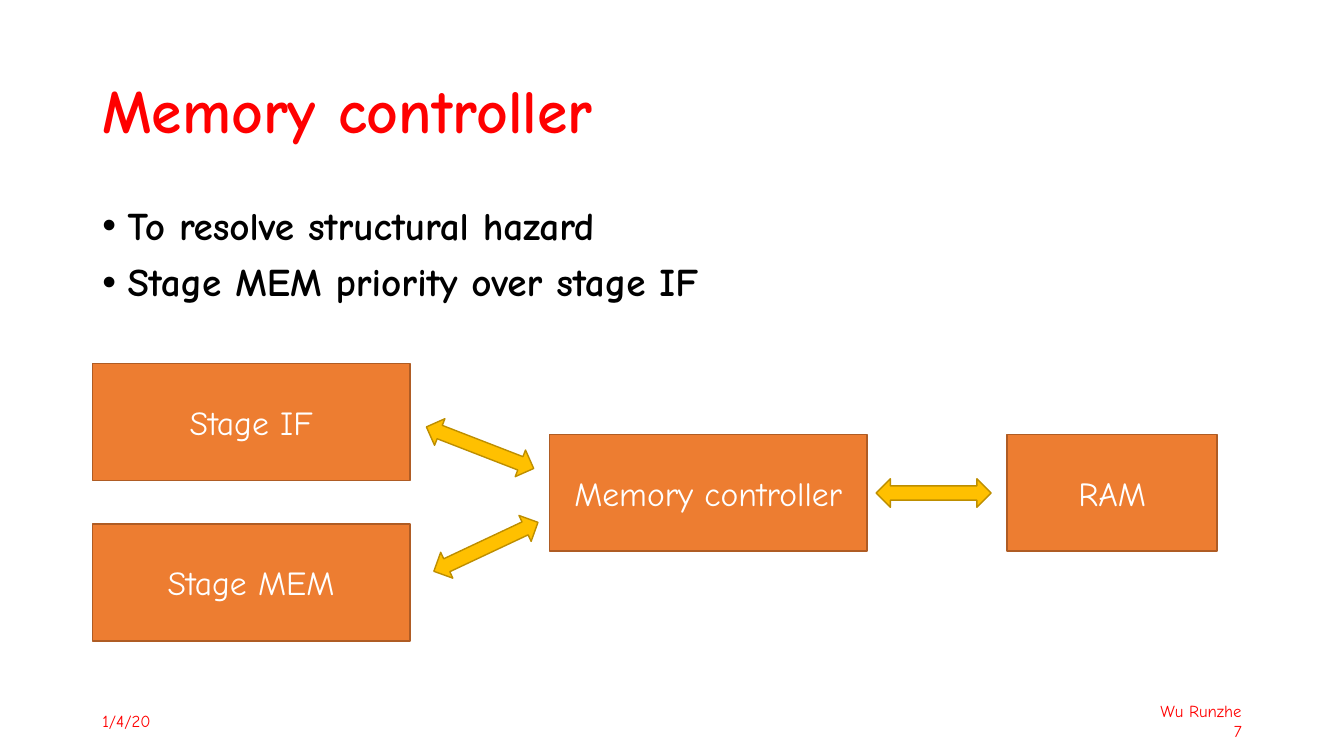
from lxml import etree
from pptx import Presentation, util as u
from pptx.dml.color import RGBColor
from pptx.enum import shapes, text
from pptx.oxml.ns import qn

COLORS = {"red": "FF0000", "black": "000000", "white": "FFFFFF",
          "box": "ED7D31", "box_line": "AF5C24",
          "arrow": "FFC000", "arrow_line": "BD8E00"}
COLS, ROWS = 160, 90


class Deck:
    font = "Comic Neue"

    def __init__(self):
        self.prs = Presentation()
        self.prs.slide_width, self.prs.slide_height = u.Inches(13.333), u.Inches(7.5)
        self.s = self.prs.slides.add_slide(self.prs.slide_layouts[6])

    def place(self, x, y, w, h):
        cw, rh = self.prs.slide_width / COLS, self.prs.slide_height / ROWS
        return [round(v) for v in (x * cw, y * rh, w * cw, h * rh)]

    def color(self, name):
        return RGBColor.from_string(COLORS[name])

    def set_text(self, sp, lines, size, color, align, anchor, bold=False):
        tf = sp.text_frame
        tf.word_wrap = True
        tf.vertical_anchor = anchor
        tf.text = "\n".join(lines)
        for p in tf.paragraphs:
            p.alignment = align
            p.font.name, p.font.size, p.font.bold = self.font, u.Pt(size), bold
            p.font.color.rgb = self.color(color)
        return tf.paragraphs

    def label(self, at, lines, size, color="red", align=text.PP_ALIGN.LEFT,
              anchor=text.MSO_ANCHOR.MIDDLE, bold=False):
        sp = self.s.shapes.add_textbox(*self.place(*at))
        return self.set_text(sp, lines, size, color, align, anchor, bold)

    def title(self, at, line):
        self.label(at, [line], 44, bold=True)[0].line_spacing = 0.9

    def bullets(self, at, lines):
        for p in self.label(at, lines, 28, "black", anchor=text.MSO_ANCHOR.TOP, bold=True):
            p.line_spacing, p.space_before = 0.9, u.Pt(10)
            pPr = p._p.get_or_add_pPr()
            pPr.set("marL", str(u.Inches(0.25)))
            pPr.set("indent", str(-u.Inches(0.25)))
            font = etree.Element(qn("a:buFont"), typeface="Arial")
            char = etree.Element(qn("a:buChar"), char="•")
            pPr.find(qn("a:defRPr")).addprevious(font)
            font.addnext(char)

    def shape(self, kind, at, style):
        sp = self.s.shapes.add_shape(kind, *self.place(*at))
        sp.shadow.inherit = False
        sp.fill.solid()
        sp.fill.fore_color.rgb = self.color(style)
        sp.line.color.rgb = self.color(style + "_line")
        sp.line.width = u.Pt(1)
        return sp

    def box(self, x, y, name, w=37.8):
        sp = self.shape(shapes.MSO_SHAPE.RECTANGLE, (x, y, w, 13.9), "box")
        self.set_text(sp, [name], 24, "white", text.PP_ALIGN.CENTER, text.MSO_ANCHOR.MIDDLE)

    def arrow(self, x, y, angle=0):
        sp = self.shape(shapes.MSO_SHAPE.LEFT_RIGHT_ARROW, (x, y, 13.7, 3.4), "arrow")
        sp.rotation = angle


LEFT, WIDTH, MID = 11, 138, 51.7
deck = Deck()
deck.title((LEFT, 4.8, WIDTH, 17.4), "Memory controller")
deck.bullets((LEFT, 24, WIDTH, 57.1),
             ["To resolve structural hazard", "Stage MEM priority over stage IF"])
deck.label((LEFT, 83.4, 36, 4.8), ["1/4/20"], 12)
deck.label((LEFT + WIDTH - 36, 83.4, 36, 4.8), ["Wu Runzhe", "7"], 12,
           align=text.PP_ALIGN.RIGHT)

deck.box(65.4, MID, "Memory controller")
deck.box(LEFT, 43.3, "Stage IF")
deck.box(LEFT, 62.4, "Stage MEM")
deck.box(119.9, MID, "RAM", 25)

for x, y, angle in ((50.3, 51.6, 21.2), (51, 63.4, 334.8), (104.3, 57, 0)):
    deck.arrow(x, y, angle)

deck.prs.save("out.pptx")
